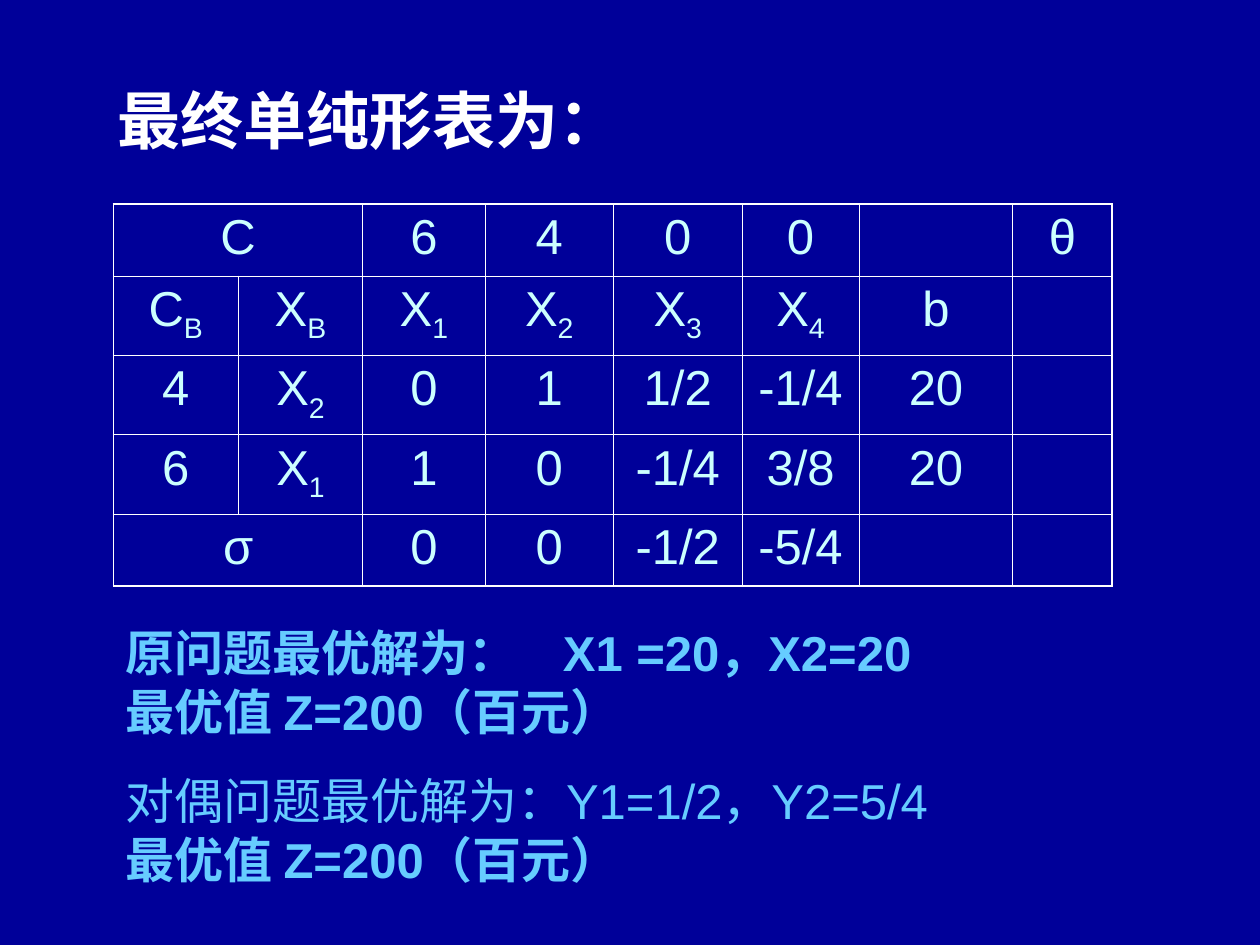
from dataclasses import dataclass

from lxml.etree import SubElement
from pptx import Presentation
from pptx.dml.color import RGBColor as RGB
from pptx.enum.text import MSO_ANCHOR as Anchor, PP_ALIGN as Align
from pptx.oxml.ns import qn
from pptx.util import Inches, Pt


@dataclass(frozen=True)
class Theme:
    background: RGB = RGB(0x00, 0x00, 0x99)
    title: RGB = RGB(0xFF, 0xFF, 0xFF)
    cell: RGB = RGB(0xCC, 0xFF, 0xFF)
    answer: RGB = RGB(0x66, 0xCC, 0xFF)
    rule: str = "FFFFFF"
    latin: str = "Arial"
    cjk: str = "Noto Sans CJK JP"
    title_size: float = 36
    body_size: float = 28
    line_pitch: float = 33.6
    group_gap: float = 17.5
    outer_rule: float = 1.08
    inner_rule: float = 0.45


THEME = Theme()
TABLE_LEFT, TABLE_TOP = 0.9, 1.62
COLUMNS = [0.99, 0.99, 0.97, 1.02, 1.02, 0.93, 1.22, 0.79]
ROWS = [0.57, 0.63, 0.63, 0.63, 0.57]

# An underscore marks the start of a subscript
SIMPLEX = [
    ["C", "", "6", "4", "0", "0", "", "θ"],
    ["C_B", "X_B", "X_1", "X_2", "X_3", "X_4", "b", ""],
    ["4", "X_2", "0", "1", "1/2", "-1/4", "20", ""],
    ["6", "X_1", "1", "0", "-1/4", "3/8", "20", ""],
    ["σ", "", "0", "0", "-1/2", "-5/4", "", ""],
]
OPTIMUM = "最优值 Z=200（百元）"
# Wording, bold, starts a new group
ANSWERS = [
    ("原问题最优解为：\tX1 =20，X2=20", True, False),
    (OPTIMUM, True, False),
    ("对偶问题最优解为：Y1=1/2，Y2=5/4", False, True),
    (OPTIMUM, True, False),
]


def style_run(run, size, color, latin=THEME.latin, bold=False):
    run.font.size = Pt(size)
    run.font.bold = bold
    run.font.color.rgb = color
    run.font.name = latin
    SubElement(run._r.get_or_add_rPr(), qn("a:ea"), typeface=THEME.cjk)


def add_title(slide, wording):
    title = slide.shapes.title
    title.left, title.top = Inches(0.83), Inches(0.6)
    title.width, title.height = Inches(7.75), Inches(0.7)
    title.text_frame.text = wording
    title.text_frame.vertical_anchor = Anchor.MIDDLE
    heading = title.text_frame.paragraphs[0]
    heading.alignment = Align.LEFT
    style_run(heading.runs[0], THEME.title_size, THEME.title, THEME.cjk, True)


def rule_cell(cell, row, column):
    """Thick rules round the table, thin ones inside it."""
    outer_sides = {
        "a:lnL": column == 0,
        "a:lnR": column == len(COLUMNS) - 1,
        "a:lnT": row == 0,
        "a:lnB": row == len(ROWS) - 1,
    }
    properties = cell._tc.get_or_add_tcPr()
    for side, is_outer in outer_sides.items():
        if cell.is_spanned and side == "a:lnL":
            continue
        weight = THEME.outer_rule if is_outer else THEME.inner_rule
        line = SubElement(properties, qn(side), w=str(Pt(weight)))
        fill = SubElement(line, qn("a:solidFill"))
        SubElement(fill, qn("a:srgbClr"), val=THEME.rule)
    cell.fill.background()


def write_cell(cell, entry):
    paragraph = cell.text_frame.paragraphs[0]
    paragraph.alignment = Align.CENTER
    base, _, subscript = entry.partition("_")
    for wording, offset in ((base, 0), (subscript, -25000)):
        if wording:
            run = paragraph.add_run()
            run.text = wording
            style_run(run, THEME.body_size, THEME.cell)
            if offset:
                run._r.get_or_add_rPr().set("baseline", str(offset))


def add_simplex_table(slide):
    table = slide.shapes.add_table(
        len(ROWS), len(COLUMNS), Inches(TABLE_LEFT), Inches(TABLE_TOP),
        Inches(sum(COLUMNS)), Inches(sum(ROWS))).table
    table.first_row = table.horz_banding = False
    for column, width in zip(table.columns, COLUMNS):
        column.width = Inches(width)
    for row, height in zip(table.rows, ROWS):
        row.height = Inches(height)

    # The first and last rows carry one label over two columns
    for r in (0, len(ROWS) - 1):
        table.cell(r, 0).merge(table.cell(r, 1))
    for r, entries in enumerate(SIMPLEX):
        for c, entry in enumerate(entries):
            cell = table.cell(r, c)
            rule_cell(cell, r, c)
            write_cell(cell, entry)


def add_answers(slide):
    answers = slide.shapes.add_textbox(
        Inches(TABLE_LEFT), Inches(4.85), Inches(8.03), Inches(2.21)).text_frame
    answers.word_wrap = True
    answers.margin_top = Inches(0.09)
    answers.text = "\n".join(wording for wording, _, _ in ANSWERS)
    for paragraph, (_, bold, new_group) in zip(answers.paragraphs, ANSWERS):
        paragraph.line_spacing = Pt(THEME.line_pitch)
        if new_group:
            paragraph.space_before = Pt(THEME.group_gap)
        for run in paragraph.runs:
            style_run(run, THEME.body_size, THEME.answer, bold=bold)

    # Tab stop in front of the first solution
    properties = answers.paragraphs[0]._p.get_or_add_pPr()
    stops = SubElement(properties, qn("a:tabLst"))
    SubElement(stops, qn("a:tab"), pos=str(Inches(3.47)), algn="l")


def main():
    deck = Presentation()
    deck.slide_width, deck.slide_height = Inches(10), Inches(7.5)
    slide = deck.slides.add_slide(deck.slide_layouts[5])
    slide.background.fill.solid()
    slide.background.fill.fore_color.rgb = THEME.background
    add_title(slide, "最终单纯形表为：")
    add_simplex_table(slide)
    add_answers(slide)
    deck.save("out.pptx")


if __name__ == "__main__":
    main()
